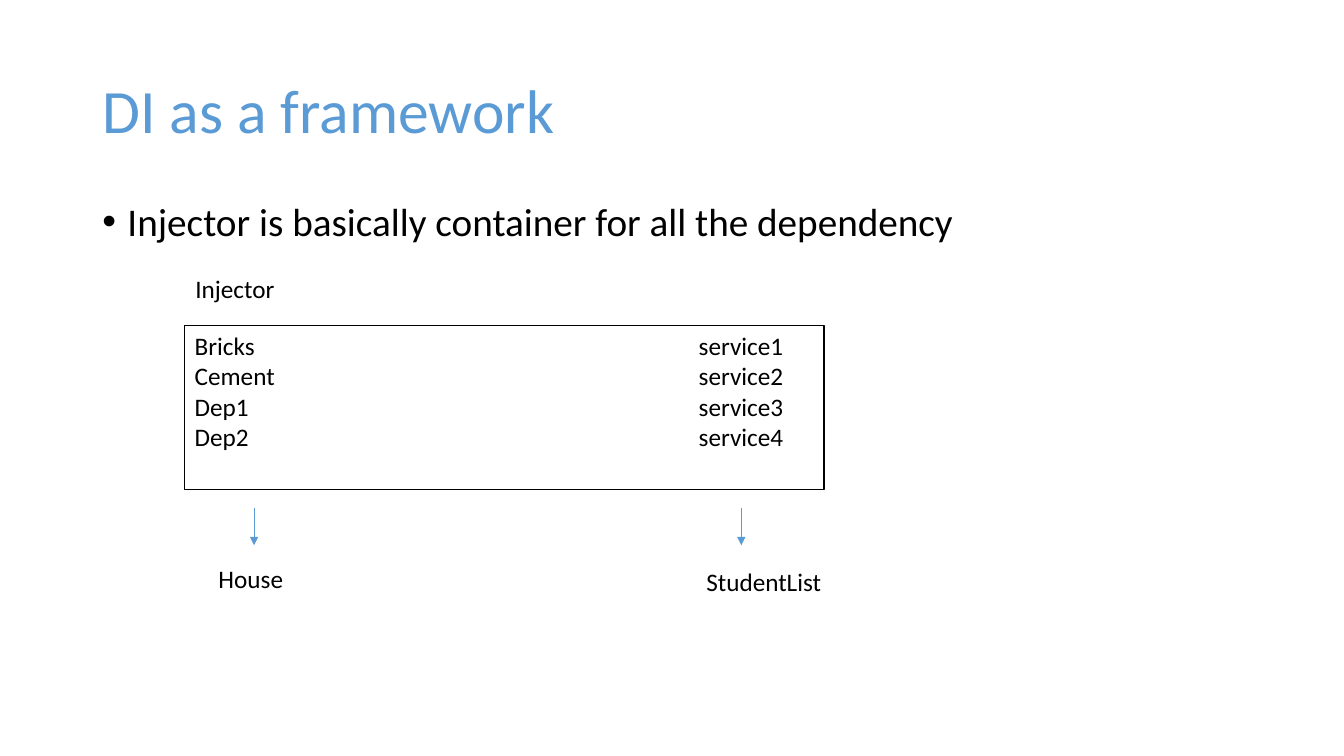
import pptx
import pptx.util
import pptx.dml.color
import pptx.enum.text
import pptx.enum.shapes
import pptx.oxml.ns
import lxml.etree

Pt = pptx.util.Pt
TEXT = pptx.enum.text
SHAPES = pptx.enum.shapes
HUES = {"blue": "5B9BD5", "ink": "000000", "paper": "FFFFFF"}


def hue(name):
    return pptx.dml.color.RGBColor.from_string(HUES[name])


def add(parent, tag, **attrs):
    return lxml.etree.SubElement(parent, pptx.oxml.ns.qn(tag), attrs)


def style(frame, lines, size=18, color="ink", space=None):
    frame.text = "\n".join(lines)
    for para in frame.paragraphs:
        para.alignment = TEXT.PP_ALIGN.LEFT
        if space:
            para.line_spacing = space
        for run in para.runs:
            run.font.size = Pt(size)
            run.font.name = "Calibri"
            run.font.color.rgb = hue(color)


def add_title(slide, left, top, width, height):
    title = slide.shapes.title
    title.left, title.top = Pt(left), Pt(top)
    title.width, title.height = Pt(width), Pt(height)
    frame = title.text_frame
    style(frame, ["DI as a framework"], 44, "blue", 0.9)
    frame.vertical_anchor = TEXT.MSO_ANCHOR.MIDDLE


def add_point(slide, left, top, width, height):
    box = slide.shapes.add_textbox(Pt(left), Pt(top), Pt(width), Pt(height))
    frame = box.text_frame
    frame.word_wrap = True
    style(frame, ["Injector is basically container for all the dependency"],
          28, space=0.8)
    para = frame.paragraphs[0]
    para.space_before = Pt(10)
    props = para._p.get_or_add_pPr()
    props.set("marL", str(Pt(18)))
    props.set("indent", str(Pt(-18)))
    add(props, "a:buFont", typeface="Arial")
    add(props, "a:buChar", char="•")


def add_label(slide, text, left, top, width):
    box = slide.shapes.add_textbox(Pt(left), Pt(top), Pt(width), Pt(29))
    frame = box.text_frame
    frame.word_wrap = False
    frame.auto_size = TEXT.MSO_AUTO_SIZE.SHAPE_TO_FIT_TEXT
    style(frame, [text])


def add_arrow(slide, left, top, height):
    arrow = slide.shapes.add_connector(
        SHAPES.MSO_CONNECTOR.STRAIGHT,
        Pt(left), Pt(top), Pt(left), Pt(top + height))
    arrow.line.color.rgb = hue("blue")
    arrow.line.width = Pt(0.5)
    add(arrow.line._get_or_add_ln(), "a:tailEnd", type="triangle")
    add(arrow._element.spPr, "a:effectLst")


def add_store(slide, left, top, width, height):
    store = slide.shapes.add_shape(
        SHAPES.MSO_SHAPE.RECTANGLE, Pt(left), Pt(top), Pt(width), Pt(height))
    store.shadow.inherit = False
    store.fill.solid()
    store.fill.fore_color.rgb = hue("paper")
    store.line.color.rgb = hue("ink")
    store.line.width = Pt(1)
    frame = store.text_frame
    frame.vertical_anchor = TEXT.MSO_ANCHOR.TOP
    names = ["Bricks", "Cement", "Dep1", "Dep2"]
    style(frame, [f"{name}\tservice{i}" for i, name in enumerate(names, 1)])
    for para in frame.paragraphs:
        tabs = add(para._p.get_or_add_pPr(), "a:tabLst")
        add(tabs, "a:tab", pos=str(Pt(360)), algn="l")


def add_diagram(slide, left, top, width, height):
    add_label(slide, "Injector", left + 0.5, top, 71)
    add_store(slide, left, top + 41, width, height - 93)
    for shift in (49.5, 397.5):
        add_arrow(slide, left + shift, top + 171.5, 26.5)
    add_label(slide, "House", left + 17, top + 207.5, 61)
    add_label(slide, "StudentList", left + 365.5, top + 209.5, 97)


deck = pptx.Presentation()
deck.slide_width, deck.slide_height = Pt(960), Pt(540)
slide = deck.slides.add_slide(deck.slide_layouts.get_by_name("Title Only"))
add_title(slide, 66, 29, 828, 104)
add_point(slide, 66, 144, 828, 36)
add_diagram(slide, 132, 191.5, 456.5, 210)
deck.save("out.pptx")
